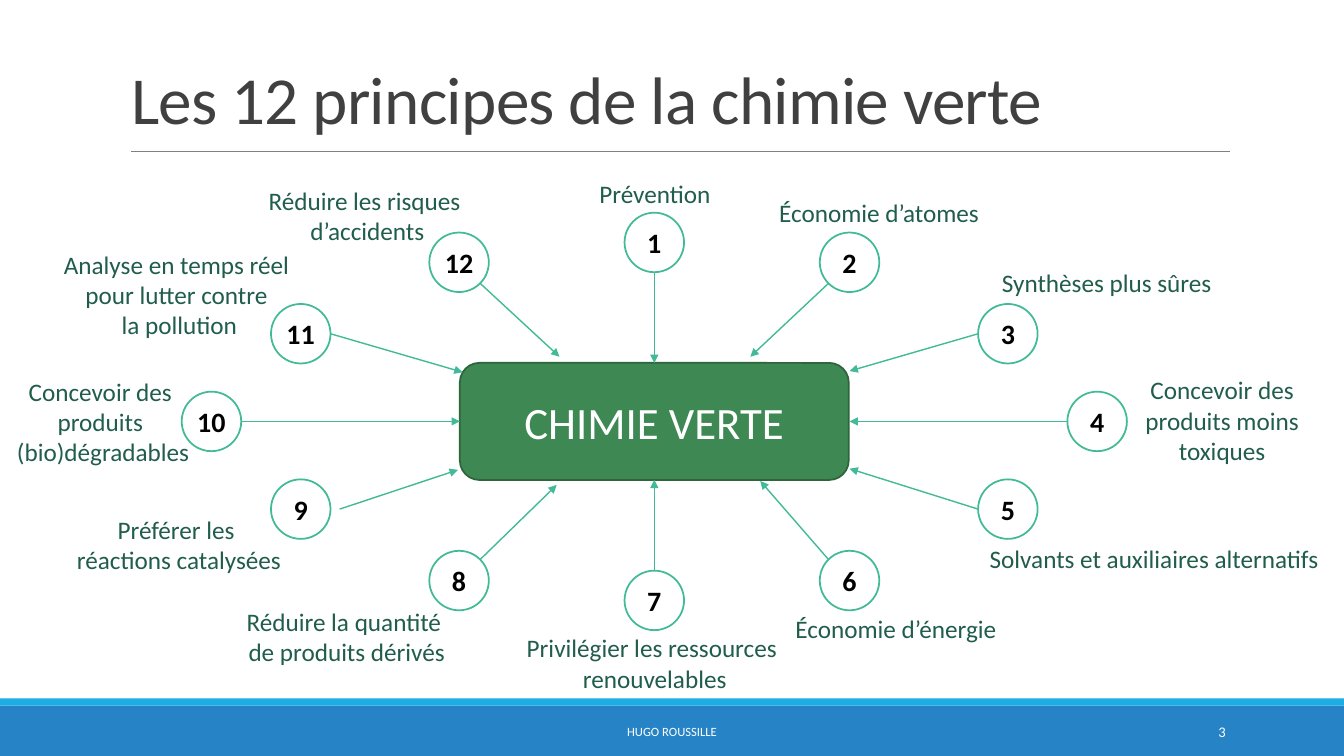
from dataclasses import dataclass

from lxml import etree
from pptx import Presentation
from pptx import util as u
from pptx.dml.color import RGBColor
from pptx.enum import shapes, text
from pptx.oxml.ns import qn


@dataclass(frozen=True)
class Theme:
    font: str = "Calibri"
    title: str = "404040"
    label: str = "215D4C"
    number: str = "000000"
    white: str = "FFFFFF"
    core: str = "3E8853"
    core_edge: str = "2E653D"
    accent: str = "42BA97"
    rule: str = "808080"
    bar: str = "2683C6"
    stripe: str = "1CADE4"
    title_size: float = 48
    core_size: float = 32
    number_size: float = 20
    label_size: float = 18
    page_size: float = 10.5
    footer_size: float = 9


CENTER_X, CENTER_Y = 16.49, 10.62
CORE_W, CORE_H = 9.8, 2.95
NODE = 1.5
RING = [(0, 4.51), (4.92, 4.01), (8.91, 2.21), (11.16, 0)]
EXIT = [(0, 1), (0.7, 0.7), (1, 0), (1, 0)]
ARROW_GAP = {9: 0.23}
WRAPPED = {4}

PRINCIPLES = [
    ("Prévention", (14.83, 4.37, 3.35), (0, -1.47)),
    ("Économie d’atomes", (19.35, 4.85, 5.61), (2.42, -1.63)),
    ("Synthèses plus sûres", (24.97, 6.6, 5.84), (4.92, -1.27)),
    ("Concevoir des produits moins toxiques", (28.3, 9.32, 5), (4.92, 0)),
    ("Solvants et auxiliaires alternatifs", (24.64, 13.56, 8.89), (4.92, 1.19)),
    ("Économie d’énergie", (19.76, 15.34, 5.64), (2.67, 1.5)),
    ("Privilégier les ressources \nrenouvelables", (12.98, 15.82, 7.04), (0, 1.47)),
    ("Réduire la quantité \nde produits dérivés", (5.92, 15.16, 5.64), (-2.46, 1.6)),
    ("Préférer les \nréactions catalysées", (1.65, 12.83, 5.72), (-4.95, 1.22)),
    ("Concevoir des \nproduits \n(bio)dégradables", (0.15, 9.35, 4.9), (-4.9, 0)),
    ("Analyse en temps réel \npour lutter contre \nla pollution", (1.32, 6.15, 6.4), (-4.83, -1.24)),
    ("Réduire les risques \nd’accidents", (6.48, 4.55, 5.56), (-2.39, -1.63)),
]


class Deck:
    def __init__(self, theme):
        self.t = theme
        self.prs = Presentation()
        self.prs.slide_width, self.prs.slide_height = u.Cm(33.87), u.Cm(19.05)
        self.s = self.prs.slides.add_slide(self.prs.slide_layouts[5])

    def fill_text(self, sp, words, size, color, align=text.PP_ALIGN.CENTER,
                  anchor=text.MSO_ANCHOR.MIDDLE, bold=False):
        tf = sp.text_frame
        tf.text = words
        tf.vertical_anchor = anchor
        for p in tf.paragraphs:
            p.alignment = align
            for r in p.runs:
                r.font.name, r.font.size, r.font.bold = self.t.font, u.Pt(size), bold
                r.font.color.rgb = RGBColor.from_string(color)
        return tf

    def title(self, words, left, top, width, height):
        sp = self.s.shapes.title
        sp.left, sp.top, sp.width, sp.height = map(u.Cm, (left, top, width, height))
        tf = self.fill_text(sp, words, self.t.title_size, self.t.title,
                            text.PP_ALIGN.LEFT, text.MSO_ANCHOR.BOTTOM)
        tf.auto_size = text.MSO_AUTO_SIZE.NONE
        p = tf.paragraphs[0]
        p.line_spacing = 0.85
        p.runs[0]._r.get_or_add_rPr().set("spc", "-50")

    def shape(self, kind, left, top, width, height, fill, edge=None):
        sp = self.s.shapes.add_shape(kind, *map(u.Cm, (left, top, width, height)))
        sp.shadow.inherit = False
        sp.fill.solid()
        sp.fill.fore_color.rgb = RGBColor.from_string(fill)
        if edge:
            sp.line.color.rgb = RGBColor.from_string(edge)
            sp.line.width = u.Pt(1.25)
        else:
            sp.line.fill.background()
        return sp

    def node(self, number, x, y):
        sp = self.shape(shapes.MSO_SHAPE.OVAL, x - NODE / 2, y - NODE / 2,
                        NODE, NODE, self.t.white, self.t.accent)
        tf = self.fill_text(sp, str(number), self.t.number_size, self.t.number, bold=True)
        tf.margin_left = tf.margin_right = u.Cm(0.1)

    def textbox(self, words, left, top, width, height, size, color, wrap=True, **style):
        sp = self.s.shapes.add_textbox(*map(u.Cm, (left, top, width, height)))
        sp.text_frame.word_wrap = wrap
        self.fill_text(sp, words, size, color, **style)

    def line(self, x1, y1, x2, y2, color, width, arrow=False):
        c = self.s.shapes.add_connector(shapes.MSO_CONNECTOR.STRAIGHT,
                                        *map(u.Cm, (x1, y1, x2, y2)))
        c.line.color.rgb = RGBColor.from_string(color)
        c.line.width = u.Pt(width)
        spPr = c.element.spPr
        if arrow:
            etree.SubElement(spPr.get_or_add_ln(), qn("a:tailEnd"), type="triangle")
        etree.SubElement(spPr, qn("a:effectLst"))

    def principle(self, number, words, box, tip):
        step = number - 1
        rank = min(step % 6, 6 - step % 6)
        side = 1 if step < 6 else -1
        level = -1 if step < 3 or step > 9 else 1
        x = CENTER_X + side * RING[rank][0]
        y = CENTER_Y + level * RING[rank][1]
        reach = NODE / 2 + ARROW_GAP.get(number, 0)
        self.node(number, x, y)
        self.line(x - side * EXIT[rank][0] * reach, y - level * EXIT[rank][1] * reach,
                  CENTER_X + tip[0], CENTER_Y + tip[1], self.t.accent, 1, arrow=True)
        wrap = number in WRAPPED
        rows = 3 if wrap else words.count("\n") + 1
        self.textbox(words, *box, 0.25 + 0.77 * rows, self.t.label_size, self.t.label,
                     wrap=wrap, anchor=text.MSO_ANCHOR.TOP)


def main():
    t = Theme()
    d = Deck(t)
    rect = shapes.MSO_SHAPE.RECTANGLE
    d.shape(rect, 0, 17.78, 33.87, 1.27, t.bar)
    d.shape(rect, 0, 17.6, 33.87, 0.18, t.stripe)
    d.line(3.3, 3.81, 30.99, 3.81, t.rule, 0.5)
    d.title("Les 12 principes de la chimie verte", 3.05, 0.79, 27.94, 2.82)

    core = d.shape(shapes.MSO_SHAPE.ROUNDED_RECTANGLE, CENTER_X - CORE_W / 2,
                   CENTER_Y - CORE_H / 2, CORE_W, CORE_H, t.core, t.core_edge)
    d.fill_text(core, "CHIMIE VERTE", t.core_size, t.white)
    for number, principle in enumerate(PRINCIPLES, 1):
        d.principle(number, *principle)

    d.textbox("HUGO ROUSSILLE", 10.24, 17.93, 13.39, 1.02, t.footer_size, t.white)
    d.textbox("3", 27.5, 17.93, 3.64, 1.02, t.page_size, t.white,
              align=text.PP_ALIGN.RIGHT)
    d.prs.save("out.pptx")


if __name__ == "__main__":
    main()
